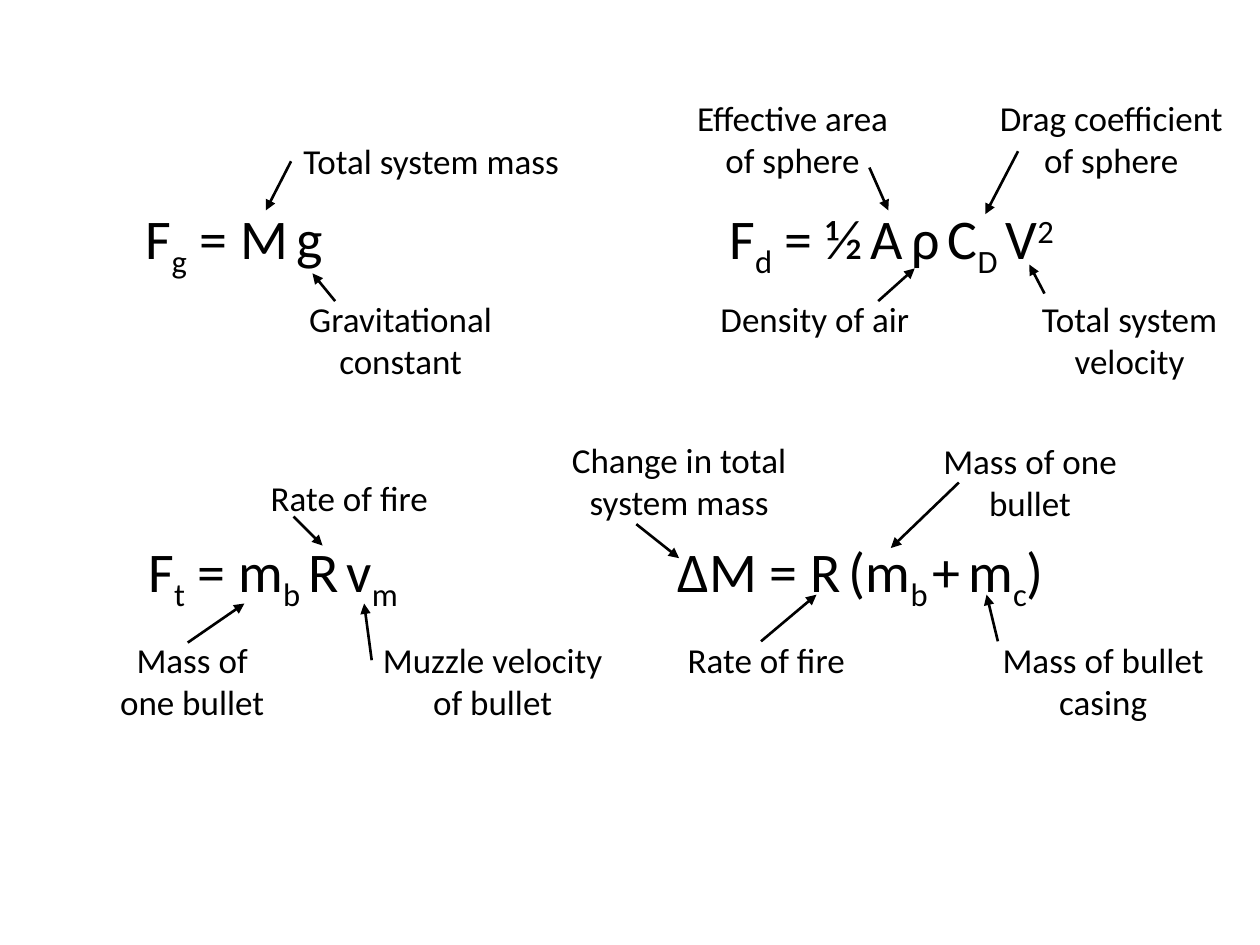
from pptx import Presentation
from pptx.dml.color import RGBColor
from pptx.enum import shapes, text
from pptx.oxml.ns import qn
from pptx.util import Inches, Pt
from lxml import etree

THEME = {
    "ink": RGBColor(0, 0, 0), "font": "Calibri",
    "formula": Pt(32), "label": Pt(20), "gap": Pt(20), "arrow": Pt(1.5),
}
BASELINES = {"_": "-25000", "^": "30000"}
LEFT, CENTER = text.PP_ALIGN.LEFT, text.PP_ALIGN.CENTER
FORMULA_HEIGHT = 0.64
LABEL_HEIGHTS = {LEFT: 0.44, CENTER: 0.77}  # one line, two lines

# Formulas: left, top, width, parts ("_" lowers a part, "^" raises it)
formulas = [
    (1.06, 1.57, 3.2, ["F", "_g", " = M", " ", "g"]),
    (5.69, 1.57, 3.34, ["F", "_d", " = ½", " ", "A", " ", "ρ", " ", "C", "_D", " ", "V", "^2"]),
    (1.08, 4.21, 2.95, ["F", "_t", " = m", "_b", " ", "R", " ", "v", "_m"]),
    (5.28, 4.21, 3.78, ["ΔM = R", " ", "(m", "_b", "_ ", "+", " ", "m", "_c", ")"]),
]

# Labels: wording, left, top, width, alignment, arrow start, arrow tip
labels = [
    ("Total system mass", 2.31, 1.06, 2.6, LEFT, (2.31, 1.28), (2.11, 1.67)),
    ("Gravitational constant", 2.35, 2.31, 1.66, CENTER, (2.66, 2.39), (2.48, 2.17)),
    ("Effective area of sphere", 5.33, 0.72, 1.92, CENTER, (6.9, 1.33), (7.05, 1.67)),
    ("Density of air", 5.62, 2.31, 3.04, LEFT, (6.97, 2.39), (7.26, 2.13)),
    ("Drag coefficient of sphere", 7.73, 0.72, 2.18, CENTER, (8.08, 1.2), (7.82, 1.7)),
    ("Total system velocity", 8.08, 2.31, 1.77, CENTER, (8.29, 2.33), (8.17, 2.1)),
    ("Mass of one bullet", 0.83, 5.02, 1.39, CENTER, (1.49, 5.1), (1.94, 4.79)),
    ("Rate of fire", 2.05, 3.73, 2.21, LEFT, (2.33, 4.1), (2.56, 4.33)),
    ("Muzzle velocity of bullet", 2.92, 5.02, 1.98, CENTER, (2.95, 5.24), (2.89, 4.79)),
    ("Rate of fire", 5.36, 5.02, 2.24, LEFT, (6.04, 5.09), (6.48, 4.72)),
    ("Mass of one bullet", 7.23, 3.44, 1.89, CENTER, (7.61, 3.83), (7.07, 4.35)),
    ("Mass of bullet casing", 7.61, 5.02, 2.29, CENTER, (7.92, 5.09), (7.83, 4.72)),
    ("Change in total system mass", 4.09, 3.43, 2.6, CENTER, (5.05, 4.16), (5.39, 4.43)),
]

deck = Presentation()
deck.slide_width, deck.slide_height = Inches(10), Inches(7.5)
slide = deck.slides.add_slide(deck.slide_layouts[6])


def add_paragraph(left, top, width, height, align=LEFT):
    frame = slide.shapes.add_textbox(*map(Inches, (left, top, width, height))).text_frame
    for name, value in {"word_wrap": True, "auto_size": text.MSO_AUTO_SIZE.SHAPE_TO_FIT_TEXT}.items():
        setattr(frame, name, value)
    paragraph = frame.paragraphs[0]
    paragraph.alignment = align
    return paragraph


def add_run(paragraph, wording, size):
    run = paragraph.add_run()
    run.text = wording
    for name, value in {"name": THEME["font"], "size": size}.items():
        setattr(run.font, name, value)
    run.font.color.rgb = THEME["ink"]
    return run


def add_arrow(start, tip):
    ends = map(Inches, (*start, *tip))
    arrow = slide.shapes.add_connector(shapes.MSO_CONNECTOR.STRAIGHT, *ends)
    arrow.line.width = THEME["arrow"]
    arrow.line.color.rgb = THEME["ink"]
    etree.SubElement(arrow.line._get_or_add_ln(), qn("a:tailEnd"), type="triangle")
    etree.SubElement(arrow._element.spPr, qn("a:effectLst"))


# Formulas
for left, top, width, parts in formulas:
    formula = add_paragraph(left, top, width, FORMULA_HEIGHT)
    for part in parts:
        wording = part.lstrip("_^")
        run = add_run(formula, wording, THEME["gap" if wording == " " else "formula"])
        if part[0] in BASELINES:
            run.font._element.set("baseline", BASELINES[part[0]])

# Labels with their arrows
for wording, left, top, width, align, start, tip in labels:
    label = add_paragraph(left, top, width, LABEL_HEIGHTS[align], align)
    add_run(label, wording, THEME["label"])
    add_arrow(start, tip)

deck.save("out.pptx")
